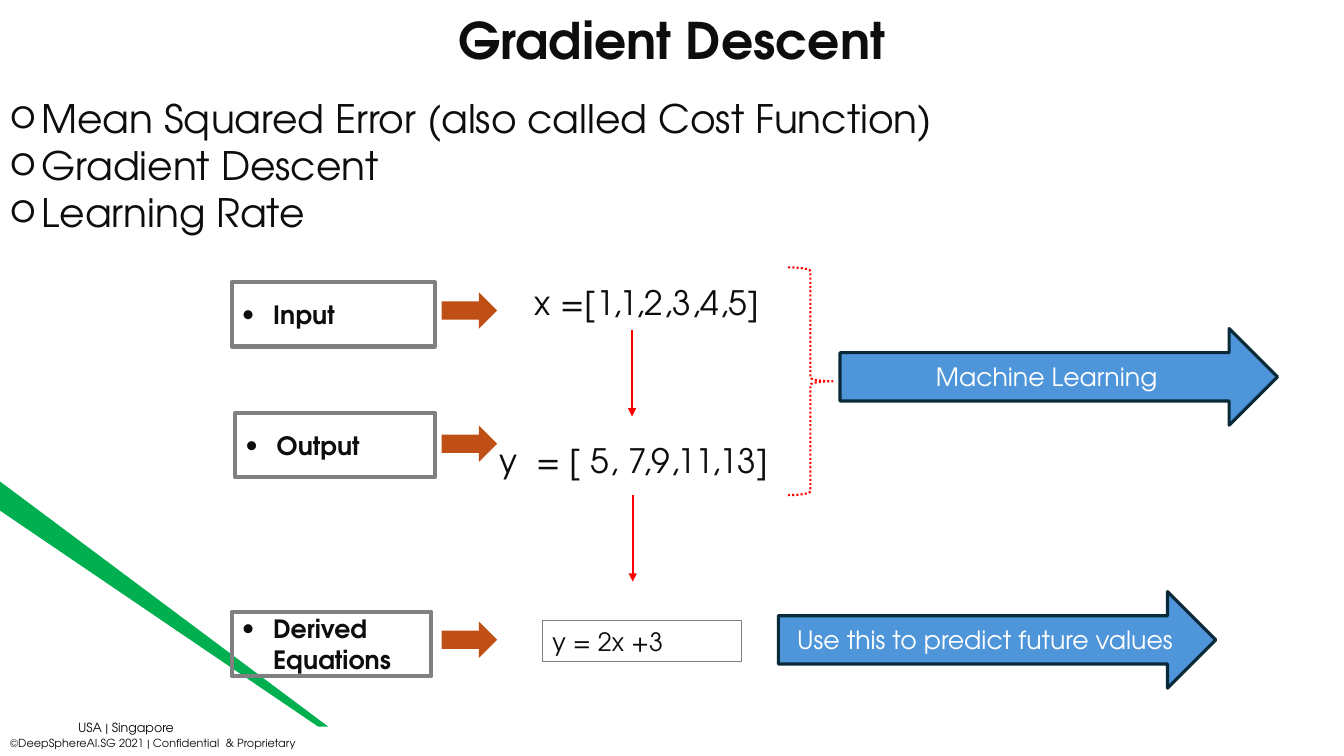
from lxml.etree import SubElement
from pptx import Presentation
from pptx.dml.color import RGBColor
from pptx.enum.dml import MSO_LINE
from pptx.enum.shapes import MSO_CONNECTOR, MSO_SHAPE
from pptx.enum.text import MSO_ANCHOR, MSO_AUTO_SIZE, PP_ALIGN
from pptx.oxml.ns import qn
from pptx.util import Pt

FONT = "TeX Gyre Adventor"
INK = RGBColor(0x0D, 0x0D, 0x0D)
WHITE = RGBColor(0xFF, 0xFF, 0xFF)
GREEN = RGBColor(0x00, 0xB0, 0x50)
RED = RGBColor(0xFF, 0x00, 0x00)
GRAY = RGBColor(0x80, 0x80, 0x80)
ORANGE = RGBColor(0xC0, 0x4F, 0x15)
BLUE = RGBColor(0x4E, 0x95, 0xD9)
NAVY = RGBColor(0x09, 0x2A, 0x39)

deck = Presentation()
deck.slide_width, deck.slide_height = Pt(960), Pt(540)
slide = deck.slides.add_slide(deck.slide_layouts[1])
shapes = slide.shapes


def draw(preset, place, fill=None, line=None, weight=0):
    shape = shapes.add_shape(preset, *map(Pt, place))
    shape.shadow.inherit = False
    if fill is None:
        shape.fill.background()
    else:
        shape.fill.solid()
        shape.fill.fore_color.rgb = fill
    if line is None:
        shape.line.fill.background()
    else:
        shape.line.color.rgb = line
        shape.line.width = Pt(weight)
    return shape


def write(shape, lines, size, color=INK, bold=False, align=PP_ALIGN.LEFT,
          anchor=MSO_ANCHOR.TOP, bullet=None):
    frame = shape.text_frame
    frame.word_wrap = True
    frame.auto_size = MSO_AUTO_SIZE.NONE
    frame.vertical_anchor = anchor
    frame.text = "\n".join(lines)
    for paragraph in frame.paragraphs:
        paragraph.alignment = align
        paragraph.line_spacing = 1.0
        paragraph.space_before = Pt(0)
        if bullet:
            props = paragraph._p.get_or_add_pPr()
            props.set("marL", str(Pt(22.5)))
            props.set("indent", str(Pt(-22.5)))
            SubElement(props, qn("a:buFont"), typeface=FONT)
            SubElement(props, qn("a:buChar"), char=bullet)
        paragraph.font.name = FONT
        paragraph.font.size = Pt(size)
        paragraph.font.bold = bold
        paragraph.font.color.rgb = color


title, topics = slide.placeholders
title.left, title.top, title.width, title.height = map(Pt, (0, 3, 960, 51))
write(title, ["Gradient Descent"], 36, bold=True, align=PP_ALIGN.CENTER)
topics.left, topics.top, topics.width, topics.height = map(Pt, (0, 63.5, 949, 109))
write(topics, ["Mean Squared Error (also called Cost Function)",
               "Gradient Descent", "Learning Rate"], 28, bullet="o")

draw(MSO_SHAPE.RIGHT_TRIANGLE, (-0.5, 343.5, 235, 175.5), GREEN)
draw(MSO_SHAPE.RIGHT_TRIANGLE, (-0.5, 364.5, 258.5, 175.5), WHITE)

for words, place, size, align in [
    ("©DeepSphereAI.SG 2021 | Confidential  & Proprietary",
     (0, 522.5, 235, 17), 8, PP_ALIGN.LEFT),
    ("USA | Singapore", (-1.5, 510.5, 183, 18), 9, PP_ALIGN.CENTER),
    ("x =[1,1,2,3,4,5]", (375, 198, 585, 36), 24, PP_ALIGN.LEFT),
    ("y  = [ 5, 7,9,11,13]", (350, 311, 235, 36), 24, PP_ALIGN.LEFT),
]:
    write(shapes.add_textbox(*map(Pt, place)), [words], size, align=align)

for label, left, top, width, arrow_top in [
    ("Input", 165.5, 201.5, 145, 208.8),
    ("Output", 168, 295, 142.5, 304),
    ("Derived Equations", 165.5, 437, 142.5, 444),
]:
    stage = draw(MSO_SHAPE.RECTANGLE, (left, top, width, 46), None, GRAY, 3)
    write(stage, [label], 18, bold=True, anchor=MSO_ANCHOR.MIDDLE, bullet="•")
    draw(MSO_SHAPE.RIGHT_ARROW, (315.5, arrow_top, 39.6, 26), ORANGE)

brace = draw(MSO_SHAPE.RIGHT_BRACE, (563, 191, 31.7, 162.7), None, RED, 1.5)
brace.line.dash_style = MSO_LINE.ROUND_DOT

equation = draw(MSO_SHAPE.RECTANGLE, (387.5, 443.5, 142.5, 29), None, GRAY, 0.75)
write(equation, ["y = 2x +3"], 18)

for outcome, left, top in [
    ("Machine Learning", 600, 234.7),
    ("Use this to predict future values", 556, 422.6),
]:
    arrow = draw(MSO_SHAPE.RIGHT_ARROW, (left, top, 312.5, 69), BLUE, NAVY, 2.25)
    write(arrow, [outcome], 18, WHITE, align=PP_ALIGN.CENTER, anchor=MSO_ANCHOR.MIDDLE)

for x, top in [(451.5, 235.5), (452, 353.5)]:
    step = shapes.add_connector(MSO_CONNECTOR.STRAIGHT, Pt(x), Pt(top), Pt(x), Pt(top + 62))
    step.line.color.rgb = RED
    step.line.width = Pt(1.5)
    SubElement(step.line._get_or_add_ln(), qn("a:tailEnd"), type="triangle")
    SubElement(step._element.spPr, qn("a:effectLst"))

deck.save("out.pptx")
